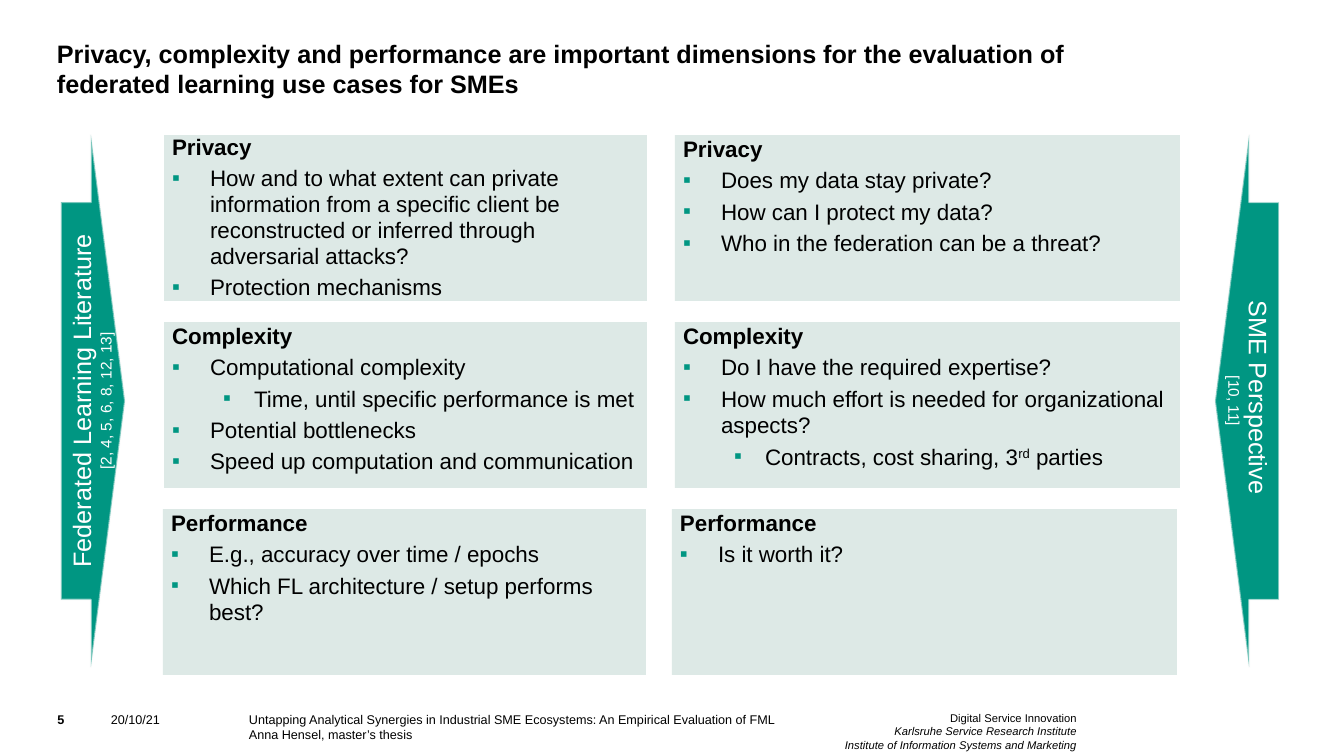
from lxml import etree
from pptx import Presentation
from pptx.dml.color import RGBColor
from pptx.enum.shapes import MSO_SHAPE
from pptx.enum.text import MSO_ANCHOR, PP_ALIGN
from pptx.oxml.ns import qn
from pptx.util import Emu, Pt

COLORS = {"text": "000000", "panel": "DDE9E6", "accent": "009682",
          "white": "FFFFFF", "edge": "F9F9F9"}
FONT = "Arial"

TITLE = ("Privacy, complexity and performance are important dimensions "
         "for the evaluation of federated learning use cases for SMEs")

ROW_TOP, ROW_PITCH, PANEL_H = 135, 187, 166
BULLET_INDENTS = {0: (38, -38), 1: (82, -31)}

# Each column: left edge, width, left edge of the last row, panels.
# A panel is a heading, its line spacing and (level, text) items;
# ^ encloses superscript.
COLUMNS = [
    (164, 483, 163, [
        ("Privacy", 0.97, [
            (0, "How and to what extent can private information from a specific "
                "client be reconstructed or inferred through adversarial attacks?"),
            (0, "Protection mechanisms")]),
        ("Complexity", 1.0, [
            (0, "Computational complexity"),
            (1, "Time, until specific performance is met"),
            (0, "Potential bottlenecks"),
            (0, "Speed up computation and communication")]),
        ("Performance", 1.0, [
            (0, "E.g., accuracy over time / epochs"),
            (0, "Which FL architecture / setup performs best?")]),
    ]),
    (675, 505, 672, [
        ("Privacy", 1.0, [
            (0, "Does my data stay private?"),
            (0, "How can I protect my data?"),
            (0, "Who in the federation can be a threat?")]),
        ("Complexity", 1.0, [
            (0, "Do I have the required expertise?"),
            (0, "How much effort is needed for organizational aspects?"),
            (1, "Contracts, cost sharing, 3^rd^ parties")]),
        ("Performance", 1.0, [(0, "Is it worth it?")]),
    ]),
]


def px(n):
    return Emu(round(n * 914400 / 100.8))


def rgb(name):
    return RGBColor.from_string(COLORS[name])


def style_run(r, size, color="text", bold=False, italic=False):
    font = r.font
    font.name, font.size = FONT, Pt(size)
    font.bold, font.italic = bold, italic
    font.color.rgb = rgb(color)


def set_margins(tf, left=0):
    tf.margin_left = px(left)
    tf.margin_top = tf.margin_right = tf.margin_bottom = 0
    tf.word_wrap = True


def add_text(slide, box, lines, size, bold=False, align=PP_ALIGN.LEFT,
             anchor=MSO_ANCHOR.TOP, italic_from=None):
    """Add a text box; lines from index italic_from onwards are italic."""
    tf = slide.shapes.add_textbox(*map(px, box)).text_frame
    set_margins(tf)
    tf.vertical_anchor = anchor
    tf.text = "\n".join(lines)
    for i, p in enumerate(tf.paragraphs):
        p.alignment = align
        italic = italic_from is not None and i >= italic_from
        style_run(p.runs[0], size, bold=bold, italic=italic)


def add_bullet(p, level):
    pPr = p._p.get_or_add_pPr()
    margin, indent = BULLET_INDENTS[level]
    pPr.set("marL", str(px(margin)))
    pPr.set("indent", str(px(indent)))
    clr = etree.SubElement(pPr, qn("a:buClr"))
    etree.SubElement(clr, qn("a:srgbClr"), val=COLORS["accent"])
    etree.SubElement(pPr, qn("a:buFont"), typeface=FONT)
    etree.SubElement(pPr, qn("a:buChar"), char="▪")
    p.level = level


def add_panel(slide, box, heading, spacing, items):
    sp = slide.shapes.add_shape(MSO_SHAPE.RECTANGLE, *map(px, box))
    sp.shadow.inherit = False
    sp.fill.solid()
    sp.fill.fore_color.rgb = rgb("panel")
    sp.line.fill.background()
    tf = sp.text_frame
    set_margins(tf, left=8)
    tf.vertical_anchor = MSO_ANCHOR.TOP
    p = tf.paragraphs[0]
    p.text = heading
    p.alignment = PP_ALIGN.LEFT
    p.line_spacing = spacing
    style_run(p.runs[0], 16, bold=True)
    for level, text in items:
        p = tf.add_paragraph()
        add_bullet(p, level)
        p.alignment = PP_ALIGN.LEFT
        p.line_spacing = spacing
        p.space_before = Pt(3.2)
        for i, part in enumerate(text.split("^")):
            r = p.add_run()
            r.text = part
            style_run(r, 16)
            if i % 2:
                r.font._element.set("baseline", "30000")


def add_side_arrow(slide, left, label, sources, rotation=0):
    sp = slide.shapes.add_shape(MSO_SHAPE.RIGHT_ARROW, px(left), px(135), px(64), px(532))
    sp.adjustments[0], sp.adjustments[1] = 0.747, 0.533
    sp.rotation = rotation
    sp.shadow.inherit = False
    sp.fill.solid()
    sp.fill.fore_color.rgb = rgb("accent")
    sp.line.color.rgb = rgb("edge")
    sp.line.width = Pt(1.35)
    edge = sp.line._ln.find(".//" + qn("a:srgbClr"))
    etree.SubElement(edge, qn("a:alpha"), val="50000")
    tf = sp.text_frame
    tf.word_wrap = True
    tf.vertical_anchor = MSO_ANCHOR.TOP
    tf._txBody.bodyPr.set("vert", "vert270")
    p = tf.paragraphs[0]
    p.text = f"{label}\v{sources}"
    p.alignment = PP_ALIGN.CENTER
    for r, size in zip(p.runs, (18, 11)):
        style_run(r, size, "white")


def add_footer(slide):
    add_text(slide, (37, 712, 48, 24), ["5"], 9, bold=True, align=PP_ALIGN.CENTER)
    add_text(slide, (111, 712, 127, 40), ["20/10/21"], 9)
    add_text(slide, (249, 712, 589, 39),
             ["Untapping Analytical Synergies in Industrial SME Ecosystems: "
              "An Empirical Evaluation of FML",
              "Anna Hensel, master’s thesis"], 9)
    add_text(slide, (837, 711, 240, 39),
             ["Digital Service Innovation",
              "Karlsruhe Service Research Institute",
              "Institute of Information Systems and Marketing"],
             8, align=PP_ALIGN.RIGHT, italic_from=1)


def main():
    prs = Presentation()
    prs.slide_width, prs.slide_height = px(1344), px(756)
    slide = prs.slides.add_slide(prs.slide_layouts[6])
    add_text(slide, (57, 37, 1016, 62), [TITLE], 18, bold=True,
             anchor=MSO_ANCHOR.BOTTOM)
    for left, width, last_left, panels in COLUMNS:
        for row, (heading, spacing, items) in enumerate(panels):
            x = last_left if row == len(panels) - 1 else left
            box = (x, ROW_TOP + row * ROW_PITCH, width, PANEL_H)
            add_panel(slide, box, heading, spacing, items)
    add_side_arrow(slide, 61, "Federated Learning Literature", "[2, 4, 5, 6, 8, 12, 13]")
    add_side_arrow(slide, 1215, "SME Perspective ", "[10, 11]", rotation=180)
    add_footer(slide)
    prs.save("out.pptx")


if __name__ == "__main__":
    main()
